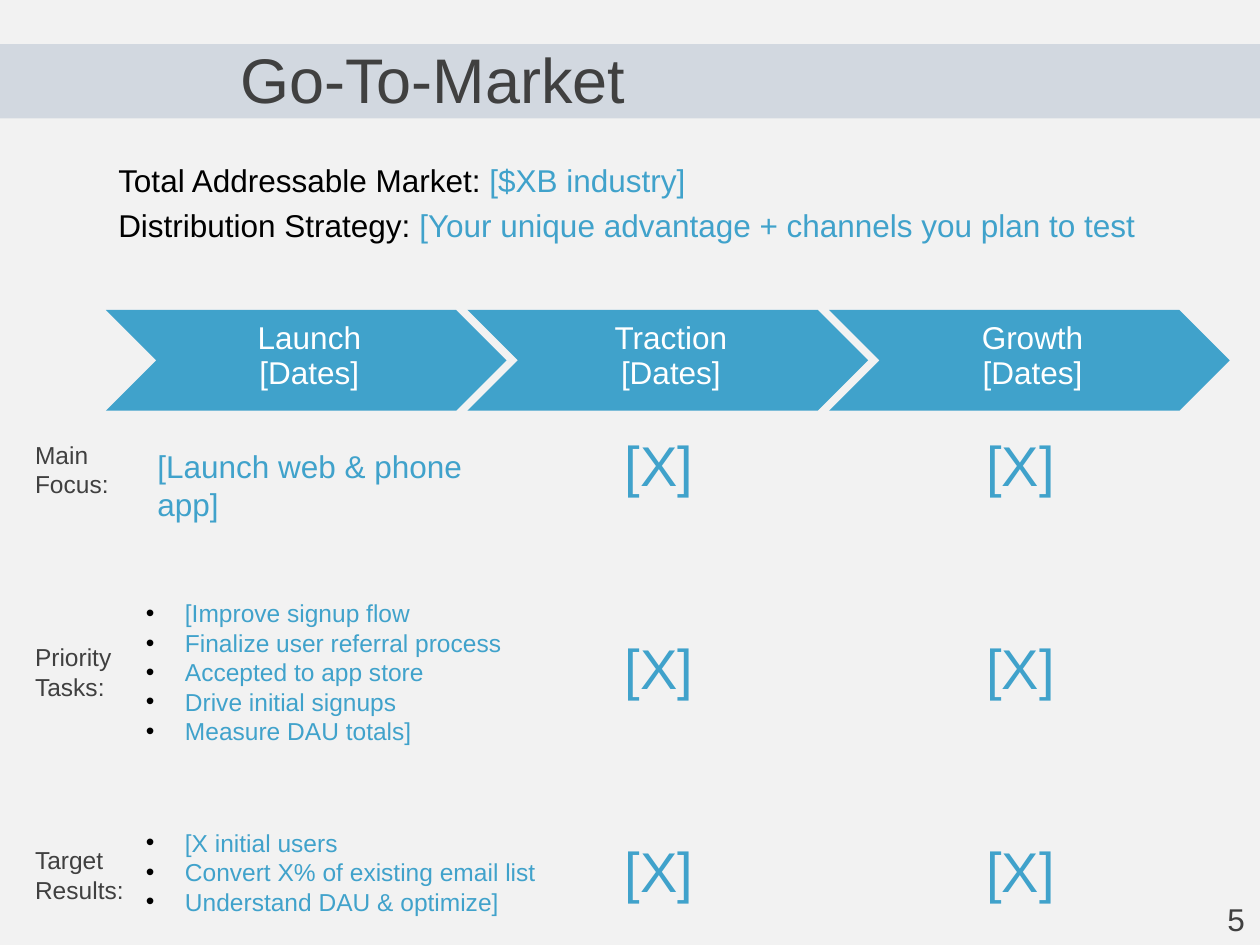
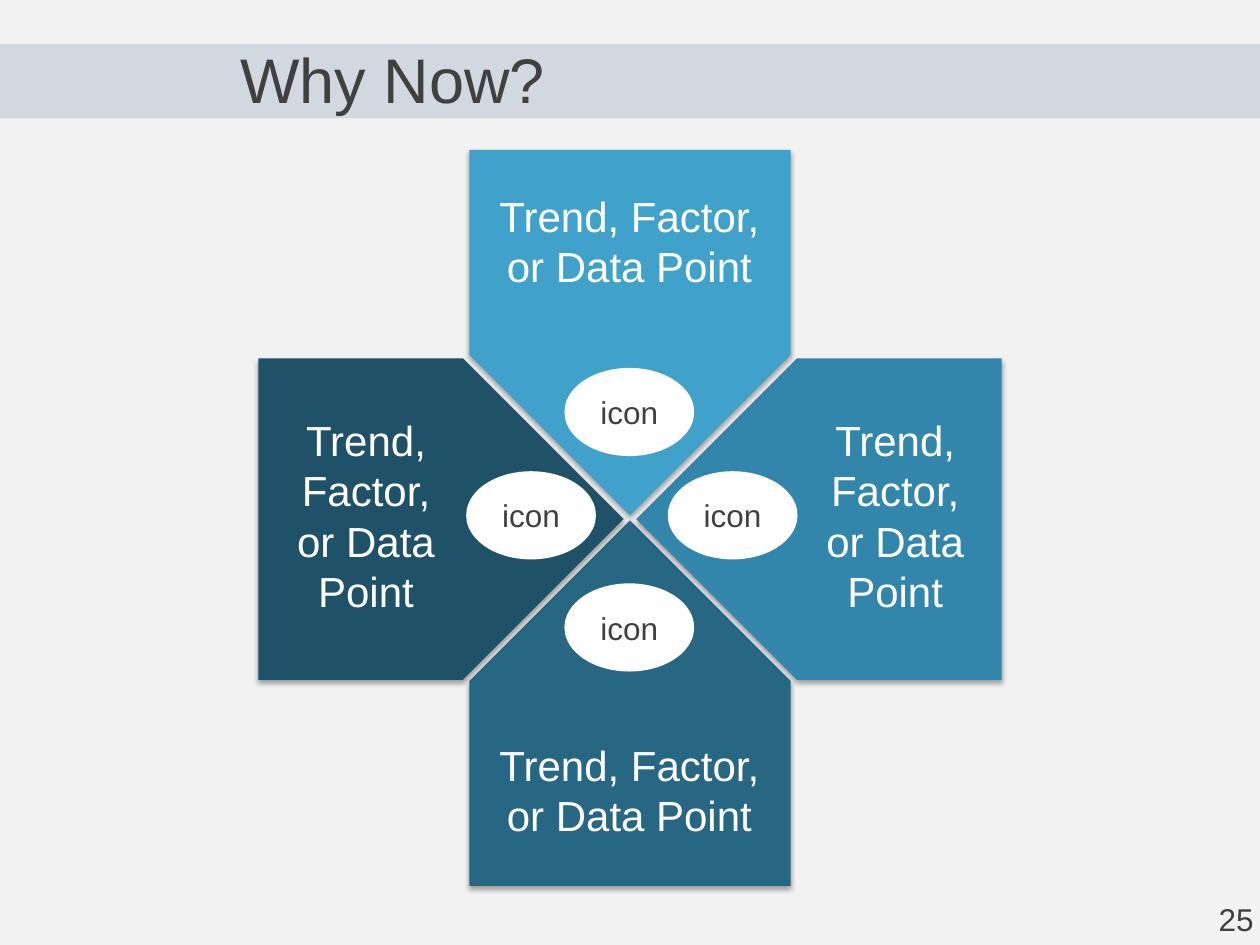
from dataclasses import dataclass

from lxml import etree
from pptx import Presentation
from pptx import util as u
from pptx.dml import color
from pptx.enum import shapes, text
from pptx.oxml import ns


@dataclass(frozen=True)
class Theme:
    """Colours and type sizes of the deck."""
    font: str = "Arial"
    background: str = "F2F2F2"
    band: str = "1F497D"
    ink: str = "404040"
    black: str = "000000"
    white: str = "FFFFFF"
    accent: str = "40A2CB"
    mid: str = "3386AB"
    dark: str = "286783"
    deep: str = "1F5268"
    title: int = 36
    mark: int = 32
    point: int = 24
    body: int = 18
    small: int = 14


@dataclass(frozen=True)
class Box:
    """A region in inches."""
    left: float
    top: float
    width: float
    height: float

    def inside(self, left, top, width, height):
        """Return a box placed from this box's top left corner."""
        return Box(self.left + left, self.top + top, width, height)

    def lengths(self):
        """Return left, top, width and height as lengths."""
        return [u.Inches(v) for v in (self.left, self.top, self.width, self.height)]


THEME = Theme()
CENTER = {"alignment": text.PP_ALIGN.CENTER}
GROW = {"auto_size": text.MSO_AUTO_SIZE.SHAPE_TO_FIT_TEXT}
LOOSE = {**GROW, "word_wrap": False}
MIDDLE = {"vertical_anchor": text.MSO_ANCHOR.MIDDLE}

PHASES = ["Launch", "Traction", "Growth"]
ROW_LABELS = ["Main Focus:", "Priority Tasks:", "Target Results:"]
TASKS = ["[Improve signup flow", "Finalize user referral process",
         "Accepted to app store", "Drive initial signups", "Measure DAU totals]"]
RESULTS = ["[X initial users", "Convert X% of existing email list",
           "Understand DAU & optimize]"]


def rgb(value):
    """Return a colour from its hex value."""
    return color.RGBColor.from_string(value)


def apply(target, formats):
    """Set each attribute named in a dict of formats."""
    for name, value in formats.items():
        setattr(target, name, value)


def add_element(parent, tag, **attributes):
    """Append a DrawingML element to a parent."""
    return etree.SubElement(parent, ns.qn(tag), attributes)


def add_bullet(paragraph):
    """Give a paragraph a black hanging bullet."""
    properties = paragraph._p.get_or_add_pPr()
    apply_indent = {"marL": u.Inches(0.31), "indent": u.Inches(-0.31)}
    for name, value in apply_indent.items():
        properties.set(name, str(int(value)))
    add_element(add_element(properties, "a:buClr"), "a:srgbClr", val=THEME.black)
    add_element(properties, "a:buFont", typeface=THEME.font)
    add_element(properties, "a:buChar", char="•")


def write(shape, paragraphs, size, ink, frame=None, layout=None, gap=0, bullets=False):
    """Fill a shape with paragraphs, each a string or a list of (words, colour)."""
    apply(shape.text_frame, {"word_wrap": True, **(frame or {})})
    for index, content in enumerate(paragraphs):
        first = index == 0
        paragraph = shape.text_frame.paragraphs[0] if first else shape.text_frame.add_paragraph()
        apply(paragraph, layout or {})
        if gap and not first:
            paragraph.space_before = u.Pt(gap)
        if bullets:
            add_bullet(paragraph)
        for words, shade in [(content, ink)] if isinstance(content, str) else content:
            run = paragraph.add_run()
            run.text = words
            apply(run.font, {"name": THEME.font, "size": u.Pt(size)})
            run.font.color.rgb = rgb(shade)


def add_text(slide, box, paragraphs, size, ink, **options):
    """Add a text box."""
    write(slide.shapes.add_textbox(*box.lengths()), paragraphs, size, ink, **options)


def add_solid(slide, kind, box, fill):
    """Add a preset shape with a plain fill, no line and no shadow."""
    shape = slide.shapes.add_shape(kind, *box.lengths())
    shape.shadow.inherit = False
    shape.fill.solid()
    shape.fill.fore_color.rgb = rgb(fill)
    shape.line.fill.background()
    return shape


def add_shadow(shape):
    """Drop a soft shadow straight below a shape."""
    effects = shape._element.spPr.find(ns.qn("a:effectLst"))
    shadow = add_element(effects, "a:outerShdw", blurRad=str(u.Pt(3.1)),
                         dist=str(u.Pt(1.8)), dir="5400000", rotWithShape="0")
    shade = add_element(shadow, "a:srgbClr", val=THEME.black)
    add_element(shade, "a:alpha", val="35000")


def add_frame(presentation, title, number):
    """Add a slide with background, title band and page number."""
    slide = presentation.slides.add_slide(presentation.slide_layouts[6])
    slide.background.fill.solid()
    slide.background.fill.fore_color.rgb = rgb(THEME.background)
    band_box = Box(0, 0.35, 10, 0.59)
    band = add_solid(slide, shapes.MSO_SHAPE.RECTANGLE, band_box, THEME.band)
    shade = band._element.spPr.find(ns.qn("a:solidFill"))[0]
    add_element(shade, "a:alpha", val="15000")
    add_text(slide, band_box.inside(1.81, 0, 6.7, 0.59), [title], THEME.title, THEME.ink,
             frame={"margin_top": u.Inches(0.09)}, layout={"line_spacing": 0.8})
    add_text(slide, Box(9.57, 7.09, 0.48, 0.4), [str(number)], THEME.body, THEME.ink,
             frame=LOOSE, layout=CENTER)
    return slide


def add_market_summary(slide, box):
    """Add the market size and distribution lines."""
    lines = [("Total Addressable Market: ", "[$XB industry]"),
             ("Distribution Strategy: ", "[Your unique advantage + channels you plan to test")]
    add_text(slide, box, [[(label, THEME.black), (value, THEME.accent)] for label, value in lines],
             THEME.body, THEME.black, gap=4)


def add_phases(slide, box, step):
    """Add the row of phase chevrons."""
    margins = {f"margin_{side}": u.Inches(0.03) for side in ("top", "right", "bottom")}
    frame = {**MIDDLE, **margins, "margin_left": u.Inches(0.08)}
    layout = {**CENTER, "line_spacing": 0.6, "space_after": u.Pt(7)}
    for index, phase in enumerate(PHASES):
        chevron = add_solid(slide, shapes.MSO_SHAPE.CHEVRON,
                            box.inside(index * step, 0, 3.18, box.height), THEME.accent)
        write(chevron, [phase, "[Dates]"], THEME.body, THEME.white, frame=frame, layout=layout)


def add_plan(slide, box, column_step, row_step):
    """Add the row labels, the launch details and the open cells."""
    for row, label in enumerate(ROW_LABELS):
        top = row * row_step
        add_text(slide, box.inside(0, top + 0.07, 1.14 if row == 0 else 1.37, 0.57), [label],
                 THEME.small, THEME.ink, frame=GROW)
        for column in range(2):
            add_text(slide, box.inside(4.68 + column * column_step, top, 0.78, 0.64), ["[X]"],
                     THEME.mark, THEME.accent, frame=LOOSE)
    add_text(slide, box.inside(0.97, 0.13, 2.99, 0.4), ["[Launch web & phone app]"],
             THEME.body, THEME.accent, frame=LOOSE)
    for items, place in ((TASKS, (0.88, 1.33, 3.06, 1.28)), (RESULTS, (0.88, 3.15, 3.33, 0.81))):
        add_text(slide, box.inside(*place), items, THEME.small, THEME.accent,
                 frame=LOOSE, bullets=True)


def add_factors(slide, box):
    """Add four pentagons pointing at the centre, with their labels and icons."""
    length, breadth = 2.9, 2.55
    middle_x, middle_y = (box.width - length) / 2, (box.height - breadth) / 2
    factors = [
        ((middle_x, middle_y - 1.48), 90, THEME.accent, (1.67, 0.09, 2.55, 0.91), (2.43, 1.55)),
        ((middle_x, middle_y + 1.46), 270, THEME.dark, (1.67, 4.45, 2.55, 0.91), (2.43, 3.26)),
        ((box.width - length, middle_y), 180, THEME.mid, (4.37, 1.87, 1.37, 1.72), (3.25, 2.37)),
        ((0, middle_y), 0, THEME.deep, (0.17, 1.87, 1.37, 1.72), (1.65, 2.37)),
    ]
    for corner, rotation, fill, _, _ in factors:
        pentagon = add_solid(slide, shapes.MSO_SHAPE.PENTAGON,
                             box.inside(*corner, length, breadth), fill)
        pentagon.rotation = rotation
        add_shadow(pentagon)
    for _, _, _, label, icon in factors:
        add_text(slide, box.inside(*label), ["Trend, Factor, or Data Point"],
                 THEME.point, THEME.white, frame=GROW, layout=CENTER)
        oval = add_solid(slide, shapes.MSO_SHAPE.OVAL, box.inside(*icon, 1.03, 0.7), THEME.white)
        write(oval, ["icon"], THEME.body, THEME.ink, frame=MIDDLE, layout=CENTER)


def build_go_to_market(presentation):
    """Build the go-to-market slide."""
    slide = add_frame(presentation, "Go-To-Market", 5)
    column_step = 2.865
    add_market_summary(slide, Box(0.84, 1.23, 8.68, 1.1))
    add_phases(slide, Box(0.84, 2.46, 8.91, 0.8), round(column_step, 2))
    add_plan(slide, Box(0.18, 3.37, 9.57, 3.96), round(column_step, 2), 1.61)


def build_why_now(presentation):
    """Build the why-now slide."""
    slide = add_frame(presentation, "Why Now?", 25)
    add_factors(slide, Box(2.05, 1.37, 5.9, 5.5))


def main():
    """Build and save the deck."""
    presentation = Presentation()
    apply(presentation, {"slide_width": u.Inches(10), "slide_height": u.Inches(7.5)})
    build_go_to_market(presentation)
    build_why_now(presentation)
    presentation.save("out.pptx")


if __name__ == "__main__":
    main()
